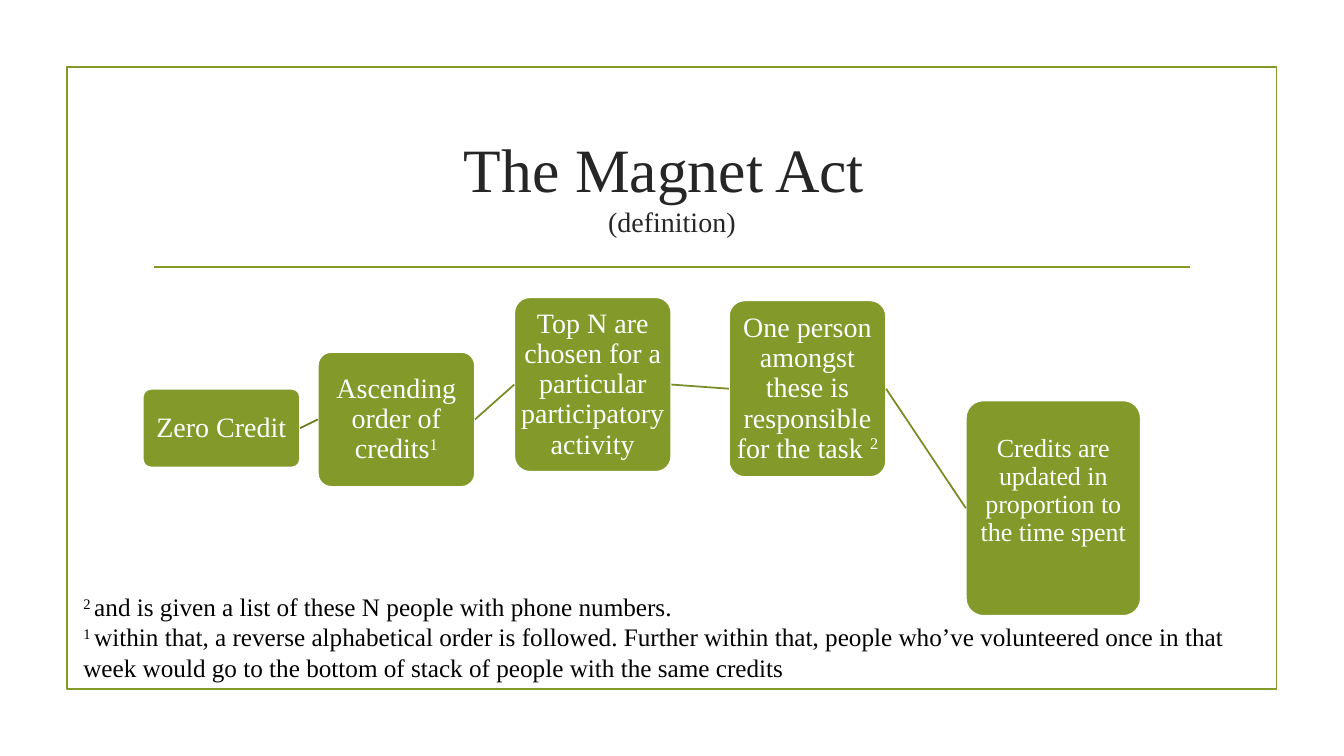
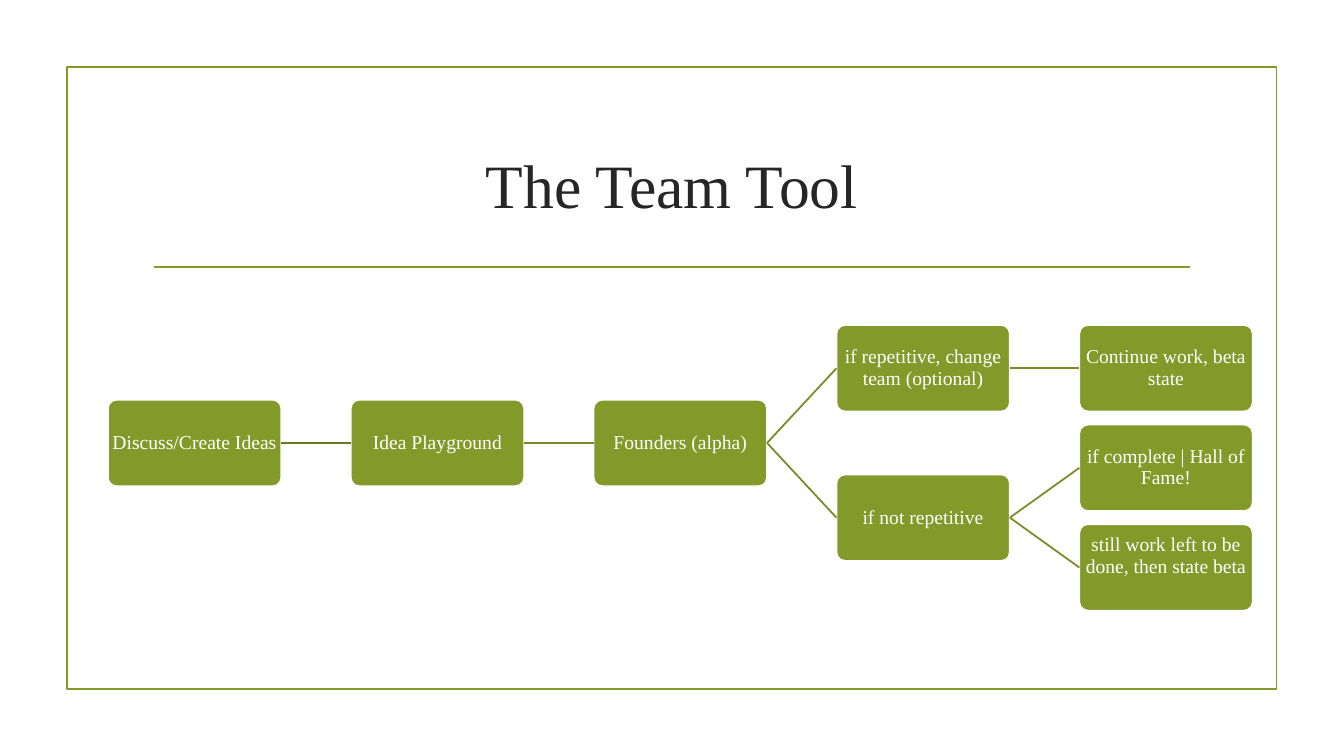
from lxml import etree
from pptx import Presentation
from pptx import util as u
from pptx.dml.color import RGBColor
from pptx.enum import shapes, text
from pptx.oxml.ns import qn

COLOURS = {"olive": "83992A", "first link": "697B22", "link": "778B26",
           "title": "262626", "white": "FFFFFF", "black": "000000"}
COLOURS = {name: RGBColor.from_string(value) for name, value in COLOURS.items()}
FONT = "Times New Roman"
THIN = u.Pt(1.25)


def write(frame, lines, size, colour, align=text.PP_ALIGN.CENTER, spacing=None):
    """Fill a frame; parts between ^ marks are raised, \v breaks a line."""
    frame.word_wrap = True
    for number, line in enumerate(lines):
        paragraph = frame.paragraphs[0] if number == 0 else frame.add_paragraph()
        paragraph.alignment = align
        paragraph.line_spacing = spacing
        for row, row_text in enumerate(line.split("\v")):
            if row:
                paragraph.add_line_break()
            for index, part in enumerate(row_text.split("^")):
                if not part:
                    continue
                run = paragraph.add_run()
                run.text = part
                run.font.name = FONT
                run.font.size = u.Pt(size)
                run.font.color.rgb = COLOURS[colour]
                if index % 2:
                    run.font._element.set("baseline", "30000")


def draw_line(slide, start, end, colour):
    line = slide.shapes.add_connector(
        shapes.MSO_CONNECTOR.STRAIGHT, *[u.Cm(value) for value in start + end])
    line.line.color.rgb = COLOURS[colour]
    line.line.width = THIN
    etree.SubElement(line._element.spPr, qn("a:effectLst"))
    return line


# Steps: left, top, width, height, label, size, line spacing, bottom inset (cm)
INSET = 0.03
magnet_steps = [
    (3.6, 9.8, 3.96, 1.98, "Zero Credit", 20, 0.9, INSET),
    (8.01, 8.87, 3.96, 3.4, "Ascending order of credits^1", 20, 0.9, INSET),
    (12.96, 7.49, 3.96, 4.4,
     "Top N are chosen for a particular participatory activity", 20, 0.9, INSET),
    (18.37, 7.57, 3.96, 4.45,
     "One person amongst these is responsible for the task ^2", 20, 0.9, INSET),
    (24.34, 10.09, 4.41, 5.43,
     "^Credits are updated in proportion to the time spent", 32, u.Pt(20), INSET),
]
magnet_links = [(0, 1), (1, 2), (2, 3), (3, 4)]

# The team tree: column, row (a parent sits midway between its children)
tree = [
    (0, 0.75, "Discuss/Create Ideas", INSET),
    (1, 0.75, "Idea Playground", INSET),
    (2, 0.75, "Founders (alpha)", INSET),
    (3, 0, "if repetitive, change team (optional)", INSET),
    (4, 0, "Continue work, beta state", INSET),
    (3, 1.5, "if not repetitive", INSET),
    (4, 1, "if complete | Hall of Fame!", INSET),
    (4, 2, "still work left to be done, then state beta", 0.6),
]
team_steps = [(2.72 + column * 6.12, 8.19 + row * 2.51, 4.37, 2.18, label, 14, 0.9, bottom)
              for column, row, label, bottom in tree]
team_links = [(0, 1), (1, 2), (2, 3), (3, 4), (2, 5), (5, 6), (5, 7)]

footnotes = [
    "^2 ^and is given a list of these N people with phone numbers.",
    "^1 ^within that, a reverse alphabetical order is followed. Further within that, "
    "people who’ve volunteered once in that week would go to the bottom of stack of "
    "people with the same credits",
]

content = [
    ("The Magnet Act \v(definition)", magnet_steps, magnet_links, footnotes),
    ("The Team Tool", team_steps, team_links, []),
]

deck = Presentation()
deck.slide_width, deck.slide_height = u.Cm(33.87), u.Cm(19.05)

for heading, steps, links, notes in content:
    slide = deck.slides.add_slide(deck.slide_layouts[6])

    # Frame and rule
    frame = slide.shapes.add_shape(shapes.MSO_SHAPE.RECTANGLE,
                                   u.Cm(1.69), u.Cm(1.69), u.Cm(30.48), u.Cm(15.67))
    frame.shadow.inherit = False
    frame.fill.background()
    frame.line.color.rgb = COLOURS["olive"]
    frame.line.width = THIN
    draw_line(slide, (3.88, 6.73), (30.0, 6.73), "olive")

    # Title, with a smaller second row if there is one
    title = slide.shapes.add_textbox(u.Cm(3.6), u.Cm(2.83), u.Cm(26.67), u.Cm(3.63)).text_frame
    title.vertical_anchor = text.MSO_ANCHOR.MIDDLE
    write(title, [heading], 44, "title")
    for subtitle in title.paragraphs[0].runs[1:]:
        subtitle.font.size = u.Pt(20)

    # Steps
    boxes = []
    for left, top, width, height, label, size, spacing, bottom in steps:
        box = slide.shapes.add_shape(shapes.MSO_SHAPE.ROUNDED_RECTANGLE,
                                     u.Cm(left), u.Cm(top), u.Cm(width), u.Cm(height))
        box.adjustments[0] = 0.1
        box.shadow.inherit = False
        box.fill.solid()
        box.fill.fore_color.rgb = COLOURS["olive"]
        box.line.color.rgb = COLOURS["white"]
        box.line.width = THIN
        words = box.text_frame
        words.margin_left = words.margin_right = words.margin_top = u.Cm(INSET)
        words.margin_bottom = u.Cm(bottom)
        words.vertical_anchor = text.MSO_ANCHOR.MIDDLE
        write(words, [label], size, "white", spacing=spacing)
        boxes.append(box)

    # Links run from the right side of one step to the left side of the next
    for number, (source, target) in enumerate(links):
        link = draw_line(slide, (0, 0), (1, 1), "link" if number else "first link")
        link.begin_connect(boxes[source], 3)
        link.end_connect(boxes[target], 1)

    # Footnotes
    if notes:
        footer = slide.shapes.add_textbox(u.Cm(1.85), u.Cm(14.78), u.Cm(29.57), u.Cm(2.57))
        footer.text_frame.auto_size = text.MSO_AUTO_SIZE.SHAPE_TO_FIT_TEXT
        write(footer.text_frame, notes, 18, "black", text.PP_ALIGN.LEFT)

deck.save("out.pptx")
